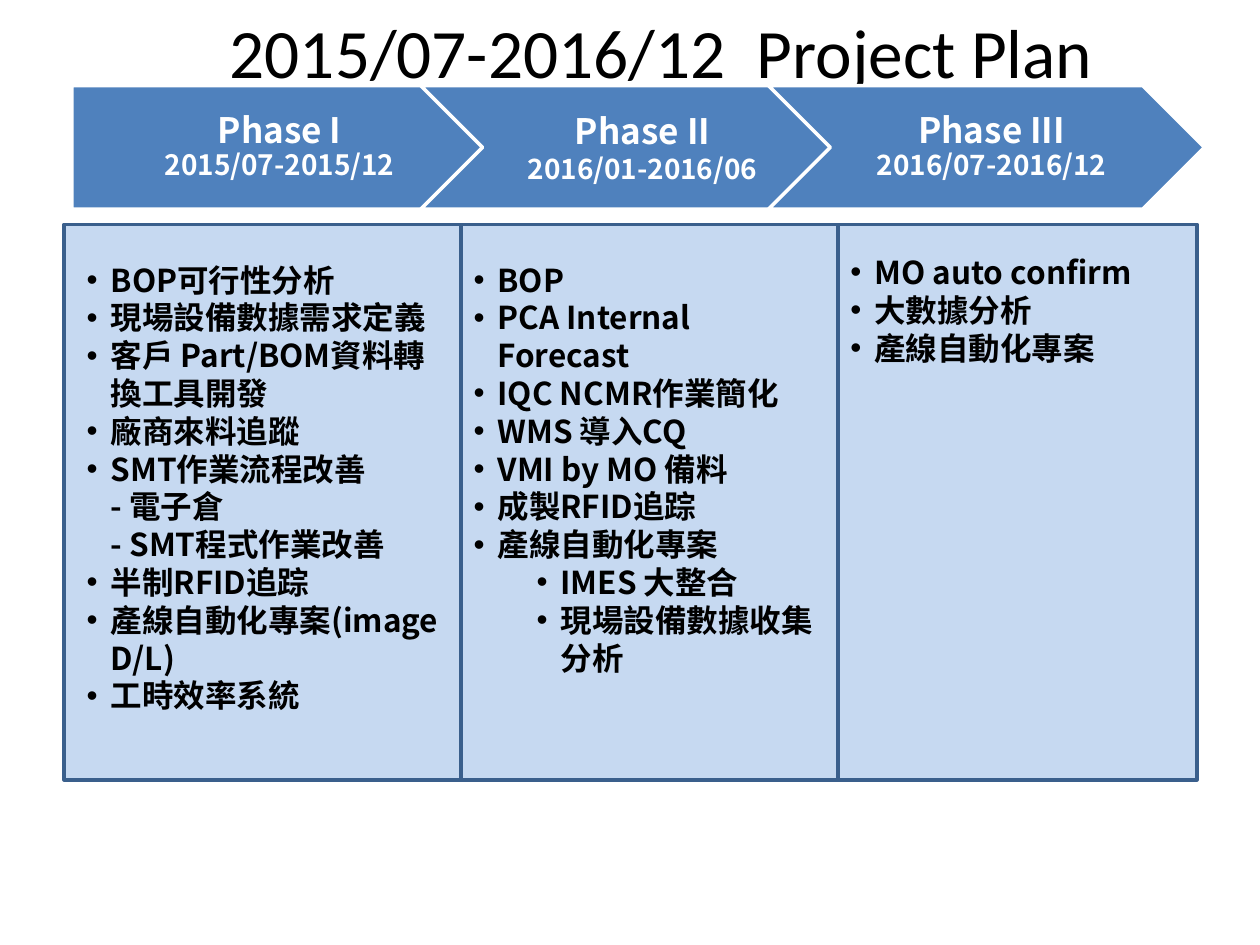
from pptx import Presentation
from pptx import util as u
from pptx.dml.color import RGBColor
from pptx.enum import shapes, text
from pptx.oxml.ns import qn
from lxml import etree

Inches = u.Inches
COLORS = {"panel": "C6D9F1", "border": "3A5F8C", "arrow": "4F81BD",
          "white": "FFFFFF", "black": "000000"}
CJK_FONT = "Noto Sans CJK SC"

PANEL_TOP, PANEL_HEIGHT = 1.78, 4.41
PANELS = [(3.66, 2.99), (6.65, 2.85), (0.51, 3.15)]  # left, width
ARROW_TOP, ARROW_WIDTH, ARROW_HEIGHT = 0.68, 3.46, 0.98

# Kind, arrow left, label left, label width, label left inset, spacing, label
PHASES = [
    ("PENTAGON", 0.57, 0.57, 3.21, 0.12, 0.9, "Phase I\n2015/07-2015/12"),
    ("CHEVRON", 3.34, 3.83, 2.48, 0.09, 1.0, "Phase II\v2016/01-2016/06"),
    ("CHEVRON", 6.1, 6.6, 2.48, 0.09, 0.9, "Phase III\v2016/07-2016/12"),
]

# Box (left, top, width, height) and its items as (level, wording)
TASKS = [
    ((0.59, 2.02, 3, 4.34), [
        (0, "BOP可行性分析"),
        (0, "現場設備數據需求定義"),
        (0, "客戶 Part/BOM資料轉換工具開發"),
        (0, "廠商來料追蹤"),
        (0, "SMT作業流程改善\v- 電子倉\v- SMT程式作業改善"),
        (0, "半制RFID追踪"),
        (0, "產線自動化專案(image D/L)"),
        (0, "工時效率系統"),
    ]),
    ((3.66, 2.02, 2.99, 4.64), [
        (0, "BOP"),
        (0, "PCA Internal Forecast"),
        (0, "IQC NCMR作業簡化"),
        (0, "WMS 導入CQ"),
        (0, "VMI by MO 備料"),
        (0, "成製RFID追踪"),
        (0, "產線自動化專案"),
        (1, "IMES 大整合"),
        (1, "現場設備數據收集分析"),
    ]),
    ((6.65, 1.96, 2.91, 1.01), [
        (0, "MO auto confirm"),
        (0, "大數據分析"),
        (0, "產線自動化專案"),
    ]),
]


def color(name):
    return RGBColor.from_string(COLORS[name])


def add_block(parent, kind, box, fill, line):
    shape = parent.add_shape(kind, *map(Inches, box))
    shape.shadow.inherit = False
    shape.fill.solid()
    shape.fill.fore_color.rgb = color(fill)
    shape.line.color.rgb = color(line)
    shape.line.width = u.Pt(2)
    return shape


def add_text_box(parent, box, anchor=text.MSO_ANCHOR.TOP):
    frame = parent.add_textbox(*map(Inches, box)).text_frame
    frame.word_wrap = True
    frame.vertical_anchor = anchor
    return frame


def format_run(run, size, fill, font=CJK_FONT, bold=True):
    run.font.size = u.Pt(size)
    run.font.bold = bold
    run.font.name = font
    run.font.color.rgb = color(fill)
    east_asian = etree.SubElement(run.font._element, qn("a:ea"))
    east_asian.set("typeface", font)


def add_bullet(paragraph, indent, hanging):
    properties = paragraph._p.get_or_add_pPr()
    properties.set("marL", str(Inches(indent)))
    properties.set("indent", str(-Inches(hanging)))
    etree.SubElement(properties, qn("a:buFont")).set("typeface", "Arial")
    etree.SubElement(properties, qn("a:buChar")).set("char", "•")


def add_title(slide):
    frame = add_text_box(slide.shapes, (0.5, 0.05, 9, 0.71),
                         text.MSO_ANCHOR.MIDDLE)
    frame.margin_left = Inches(0.6)  # moves the centred title to the right
    frame.text = "2015/07-2016/12  Project Plan"
    paragraph = frame.paragraphs[0]
    paragraph.alignment = text.PP_ALIGN.CENTER
    format_run(paragraph.runs[0], 39.6, "black", "Calibri", False)


def add_phase(group, kind, left, label_left, label_width, inset, spacing, label):
    add_block(group.shapes, getattr(shapes.MSO_SHAPE, kind),
              (left, ARROW_TOP, ARROW_WIDTH, ARROW_HEIGHT), "arrow", "white")
    frame = add_text_box(group.shapes,
                         (label_left, ARROW_TOP, label_width, ARROW_HEIGHT),
                         text.MSO_ANCHOR.MIDDLE)
    frame.margin_left, frame.margin_right = Inches(inset), Inches(0.03)
    frame.margin_top = frame.margin_bottom = Inches(0.06)
    frame.text = label
    for paragraph in frame.paragraphs:
        paragraph.alignment = text.PP_ALIGN.CENTER
        paragraph.line_spacing = spacing
    runs = [run for paragraph in frame.paragraphs for run in paragraph.runs]
    for run, size in zip(runs, (20, 16)):
        format_run(run, size, "white")


def add_task_list(slide, box, items):
    frame = add_text_box(slide.shapes, box)
    frame.text = "\n".join(wording for _, wording in items)
    for paragraph, (level, _) in zip(frame.paragraphs, items):
        paragraph.level = level
        add_bullet(paragraph, 0.19 + 0.5 * level, 0.19)
        for run in paragraph.runs:
            format_run(run, 18, "black")


def main():
    presentation = Presentation()
    presentation.slide_width, presentation.slide_height = Inches(10), Inches(7.5)
    slide = presentation.slides.add_slide(presentation.slide_layouts[6])

    # Panels behind the task lists
    for left, width in PANELS:
        add_block(slide.shapes, shapes.MSO_SHAPE.RECTANGLE,
                  (left, PANEL_TOP, width, PANEL_HEIGHT), "panel", "border")

    # Title, partly behind the arrows
    add_title(slide)

    # Phase arrows
    group = slide.shapes.add_group_shape()
    for phase in PHASES:
        add_phase(group, *phase)

    # Task lists
    for box, items in TASKS:
        add_task_list(slide, box, items)

    presentation.save("out.pptx")


if __name__ == "__main__":
    main()
